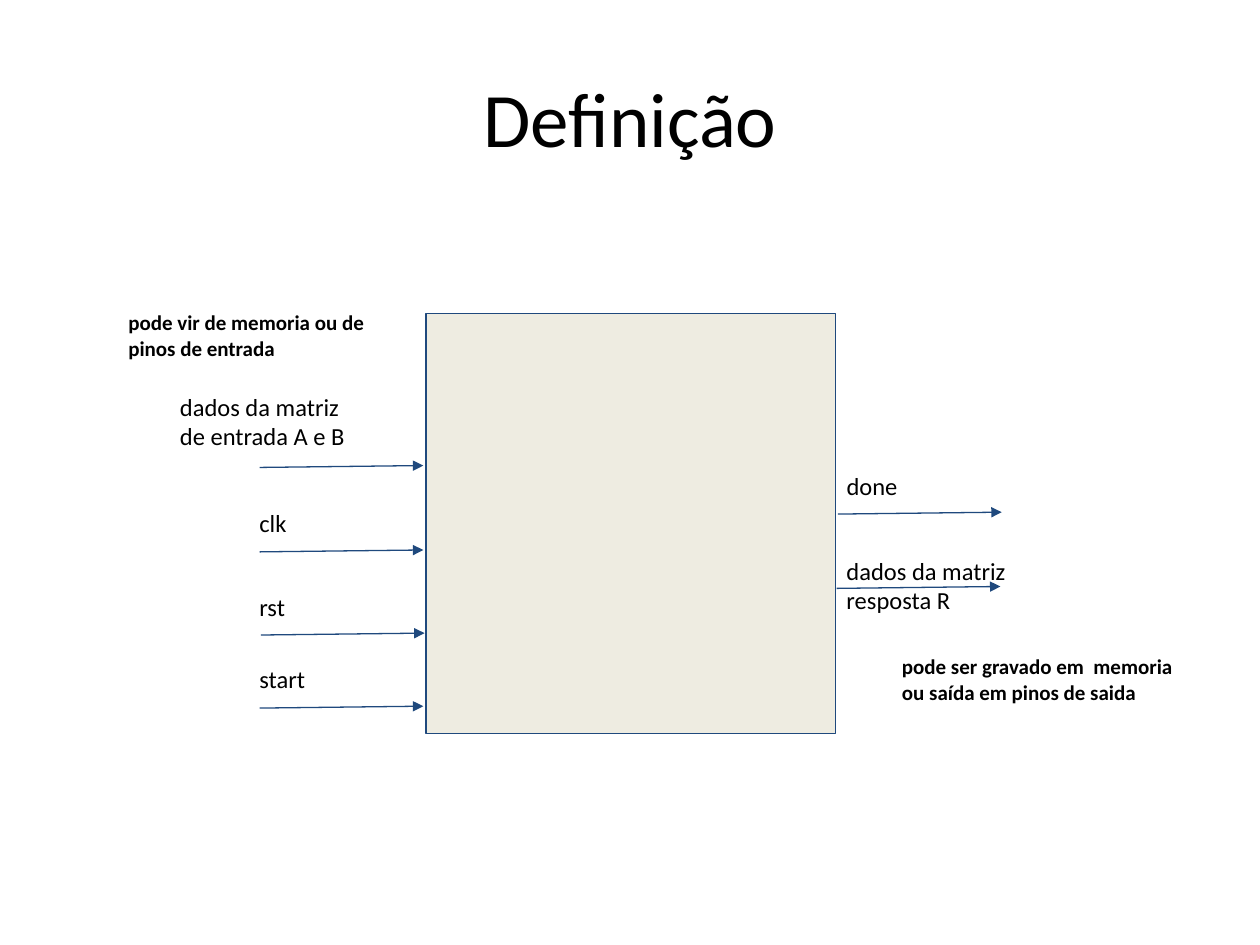
"""Build the slide that defines the matrix block by its inputs and outputs."""

from lxml.etree import SubElement
from pptx import Presentation
from pptx.dml.color import RGBColor
from pptx.enum.shapes import MSO_CONNECTOR, MSO_SHAPE
from pptx.enum.text import MSO_ANCHOR, PP_ALIGN
from pptx.oxml.ns import qn
from pptx.util import Inches, Pt

INK = RGBColor(0x00, 0x00, 0x00)
NAVY = RGBColor(0x1F, 0x49, 0x7D)
SAND = RGBColor(0xEE, 0xEC, 0xE1)

deck = Presentation()
deck.slide_width, deck.slide_height = Inches(10), Inches(7.5)
unit = deck.slide_width // 100


def grid(*cells):
    """Turn counts of grid columns or rows into lengths."""
    return [round(cell * unit) for cell in cells]


def write(shape, text, size, bold=False):
    """Put one formatted line of text in a shape."""
    frame = shape.text_frame
    frame.text = text
    frame.word_wrap = True
    look = {"name": "Calibri", "size": Pt(size), "bold": bold}
    for key, value in look.items():
        setattr(frame.paragraphs[0].runs[0].font, key, value)
    frame.paragraphs[0].runs[0].font.color.rgb = INK
    return frame


slide = deck.slides.add_slide(deck.slide_layouts[5])
shapes = slide.shapes

title = shapes.title
title.left, title.top, title.width, title.height = grid(5, 3, 90, 12.5)
head = write(title, "Definição", 44)
head.vertical_anchor = MSO_ANCHOR.MIDDLE
head.paragraphs[0].alignment = PP_ALIGN.CENTER

block = shapes.add_shape(MSO_SHAPE.RECTANGLE, *grid(33.8, 24.9, 32.5, 33.3))
block.shadow.inherit = False
block.fill.solid()
block.fill.fore_color.rgb = SAND
block.line.color.rgb = NAVY
block.line.width = Pt(0.75)

inputs = [(20.6, 37.1), (20.6, 43.8), (20.7, 50.4), (20.6, 56.2)]
outputs = [(66.5, 40.8), (66.4, 46.7)]
for col, row in inputs + outputs:
    arrow = shapes.add_connector(
        MSO_CONNECTOR.STRAIGHT, *grid(col, row, col + 13, row - 0.15))
    arrow.line.color.rgb = NAVY
    arrow.line.width = Pt(0.75)
    SubElement(arrow.line._get_or_add_ln(), qn("a:tailEnd"), type="triangle")
    SubElement(arrow._element.spPr, qn("a:effectLst"))

labels = [
    ("dados da matriz de entrada A e B", 13.3, 30.1, 16.9, 6.7, 14),
    ("clk", 19.6, 39.3, 7.5, 4.4, 14),
    ("rst", 19.6, 46, 7.5, 4.4, 14),
    ("start", 19.6, 51.7, 7.5, 4.4, 14),
    ("done", 66.2, 36.4, 7.5, 4.4, 14),
    ("dados da matriz resposta R", 66.2, 43.1, 18.6, 6.7, 14),
    ("pode ser gravado em  memoria ou saída em pinos de saida",
     70.6, 50.9, 23.5, 6.1, 12),
    ("pode vir de memoria ou de pinos de entrada",
     9.2, 23.6, 23.5, 6.1, 12),
]
for text, col, row, wide, high, size in labels:
    box = shapes.add_textbox(*grid(col, row, wide, high))
    frame = write(box, text, size, bold=size == 12)
    for side in ("left", "top", "right", "bottom"):
        setattr(frame, f"margin_{side}", unit)

deck.save("out.pptx")
